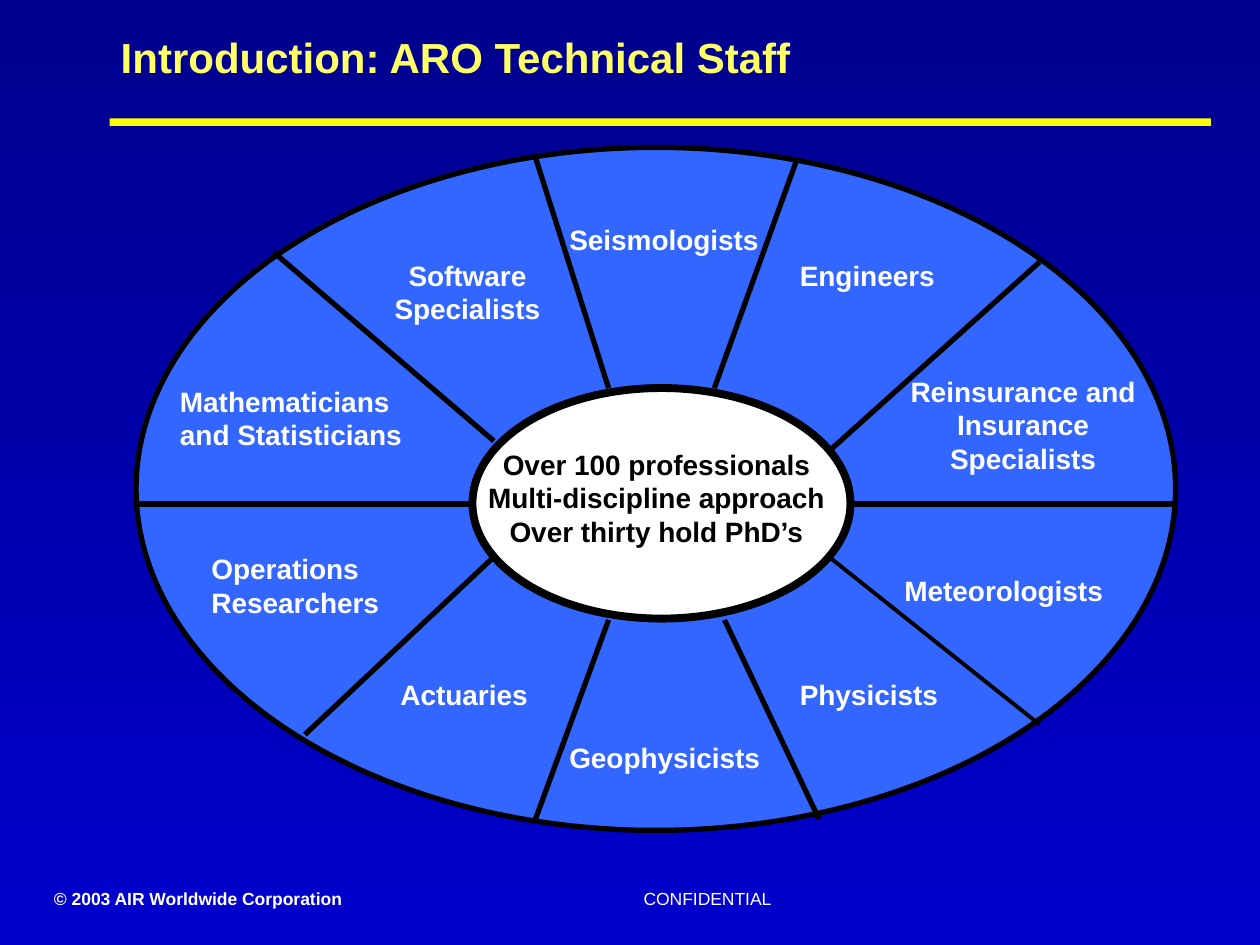
from pptx import Presentation
from pptx.dml.color import RGBColor
from pptx.enum import shapes, text
from pptx.oxml.ns import qn
from pptx.util import Inches, Pt

NIGHT = RGBColor(0x00, 0x00, 0x8D)
NAVY = RGBColor(0x00, 0x00, 0xCC)
BLUE = RGBColor(0x33, 0x66, 0xFF)
YELLOW = RGBColor(0xFF, 0xFF, 0x00)
LEMON = RGBColor(0xFF, 0xFF, 0x66)
WHITE = RGBColor(0xFF, 0xFF, 0xFF)
BLACK = RGBColor(0x00, 0x00, 0x00)
LEFT, MID = text.PP_ALIGN.LEFT, text.PP_ALIGN.CENTER
RECT, OVAL = shapes.MSO_SHAPE.RECTANGLE, shapes.MSO_SHAPE.OVAL

# Offsets from the wheel's top left corner: hub end, rim end, line width
SPOKES = [
    (2.84, 2.33, 1.09, 0.83, 3),
    (3.75, 1.91, 3.17, 0.08, 3),
    (4.59, 1.91, 5.25, 0.08, 3),
    (5.5, 2.41, 7.17, 0.91, 3),
    (5.67, 2.83, 8.25, 2.83, 3),
    (5.5, 3.25, 7.17, 4.58, 2.25),
    (4.67, 3.75, 5.42, 5.33, 3),
    (3.75, 3.75, 3.17, 5.33, 3),
    (2.84, 3.25, 1.34, 4.66, 3),
    (2.67, 2.83, 0, 2.83, 3),
]
# Offset, width, height, alignment, words
LABELS = [
    (0.25, 1.83, 2.08, 0.64, LEFT, "Mathematicians and Statisticians"),
    (0.5, 3.16, 2.17, 0.64, LEFT, "Operations Researchers"),
    (2, 4.16, 1.42, 0.37, LEFT, "Actuaries"),
    (3.34, 4.66, 1.83, 0.37, LEFT, "Geophysicists"),
    (5.17, 4.16, 1.33, 0.37, LEFT, "Physicists"),
    (6, 3.33, 1.83, 0.37, LEFT, "Meteorologists"),
    (6, 1.75, 2.08, 0.9, MID, "Reinsurance and Insurance Specialists"),
    (1.84, 0.83, 1.58, 0.64, MID, "Software\vSpecialists"),
    (3.34, 0.55, 1.92, 0.37, LEFT, "Seismologists"),
    (5.17, 0.83, 1.33, 0.37, LEFT, "Engineers"),
]
FACTS = "Over 100 professionals\nMulti-discipline approach\nOver thirty hold PhD’s"


def put_text(slide, box, words, size=16, color=WHITE, bold=True, align=LEFT):
    frame = slide.shapes.add_textbox(*map(Inches, box)).text_frame
    frame.word_wrap = True
    frame.text = words
    for para in frame.paragraphs:
        para.alignment = align
        for run in para.runs:
            font = run.font
            font.name, font.size, font.bold = "Arial", Pt(size), bold
            font.color.rgb = color
    return frame


def put_shape(slide, kind, box, fill, width=0):
    shape = slide.shapes.add_shape(kind, *map(Inches, box))
    shape.shadow.inherit = False
    shape.fill.solid()
    shape.fill.fore_color.rgb = fill
    if width:
        shape.line.color.rgb = BLACK
        shape.line.width = Pt(width)
    else:
        shape.line.fill.background()


def put_line(slide, ends, width):
    line = slide.shapes.add_connector(shapes.MSO_CONNECTOR.STRAIGHT, *map(Inches, ends))
    line.line.color.rgb = BLACK
    line.line.width = Pt(width)
    props = line._element.spPr
    props.append(props.makeelement(qn("a:effectLst"), {}))


def back(slide):
    fill = slide.background.fill
    fill.gradient()
    fill.gradient_angle = 270
    for stop, color, spot in zip(fill.gradient_stops, (NIGHT, NAVY), (0, 1)):
        stop.color.rgb = color
        stop.position = spot


def header(slide, left, top, width, height):
    frame = put_text(slide, (left, top, width, height),
                     "Introduction: ARO Technical Staff", 24, LEMON)
    frame.vertical_anchor = text.MSO_ANCHOR.MIDDLE
    put_shape(slide, RECT, (left + 0.01, top + height + 0.04, 8.74, 0.06), YELLOW)


def wheel(slide, left, top, width, height):
    # Rim and hub
    put_shape(slide, OVAL, (left, top, width, height), BLUE, 3)
    put_shape(slide, OVAL, (left + 2.67, top + 1.91, 3, 1.83), WHITE, 4.5)
    # Spokes
    for x1, y1, x2, y2, weight in SPOKES:
        put_line(slide, (left + x1, top + y1, left + x2, top + y2), weight)
    # Labels in the sectors
    for x, y, w, h, align, words in LABELS:
        put_text(slide, (left + x, top + y, w, h), words, align=align)
    # Facts in the hub
    put_text(slide, (left + 2.67, top + 2.33, 2.92, 0.9), FACTS, color=BLACK, align=MID)


def footer(slide, left, top, height):
    put_text(slide, (left, top, 2.61, height), "© 2003 AIR Worldwide Corporation", 10)
    put_text(slide, (left + 4.58, top, 1.41, height), "CONFIDENTIAL", 10,
             bold=False, align=MID)


def main():
    deck = Presentation()
    deck.slide_width, deck.slide_height = Inches(10), Inches(7.5)
    slide = deck.slides.add_slide(deck.slide_layouts[6])
    back(slide)
    header(slide, 0.86, 0, 8.81, 0.9)
    wheel(slide, 1.08, 1.17, 8.25, 5.42)
    footer(slide, 0.33, 7, 0.27)
    deck.save("out.pptx")


if __name__ == "__main__":
    main()
